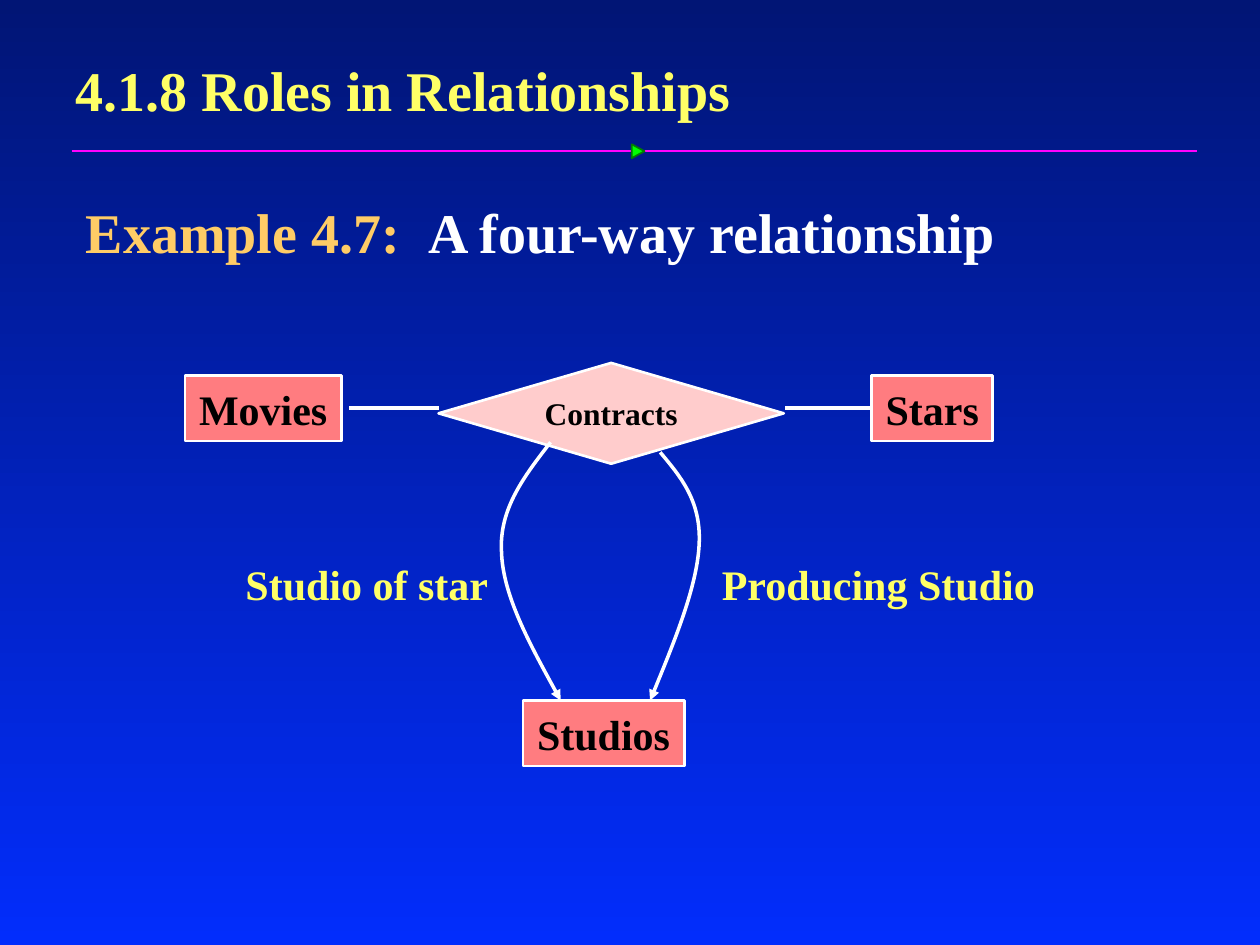
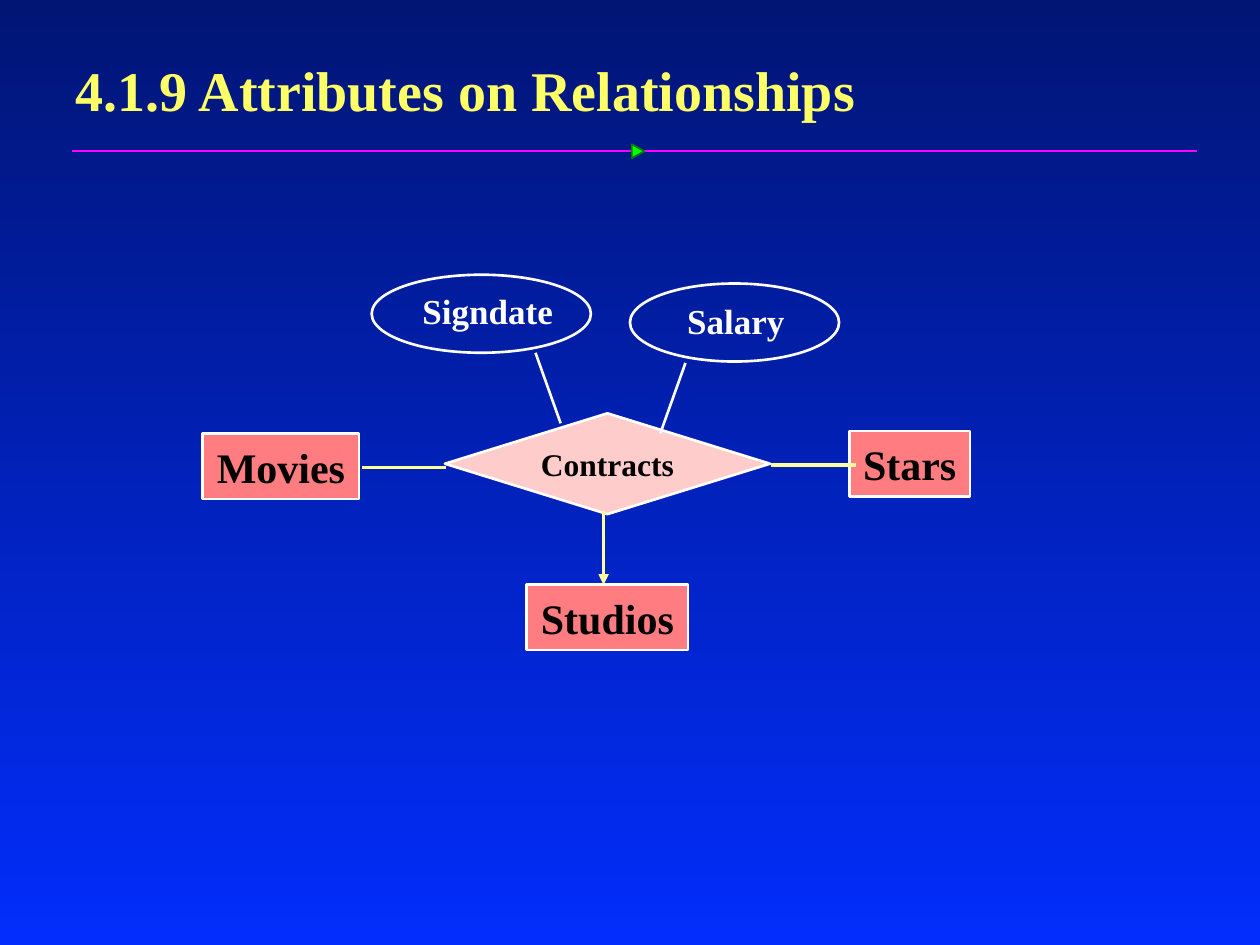
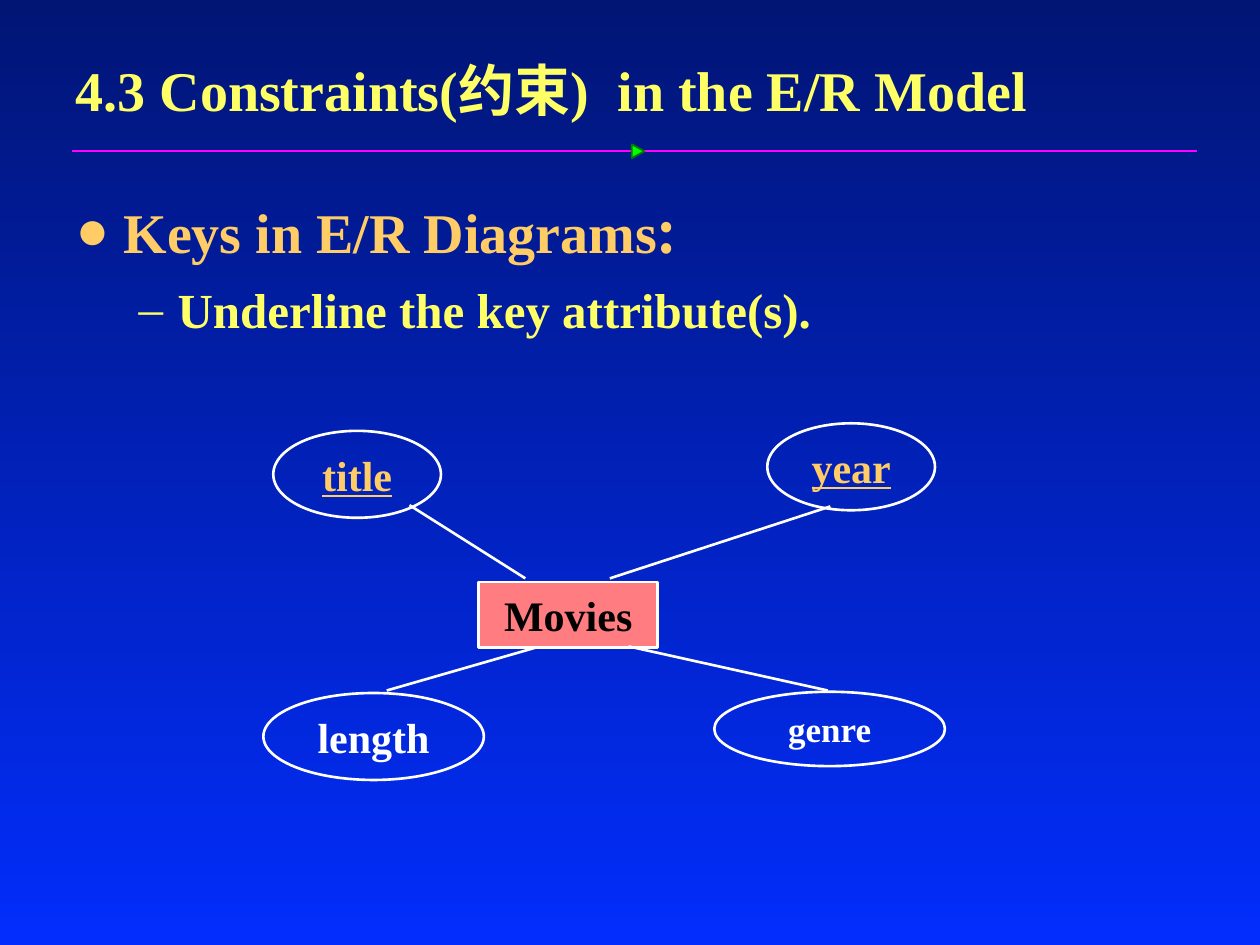
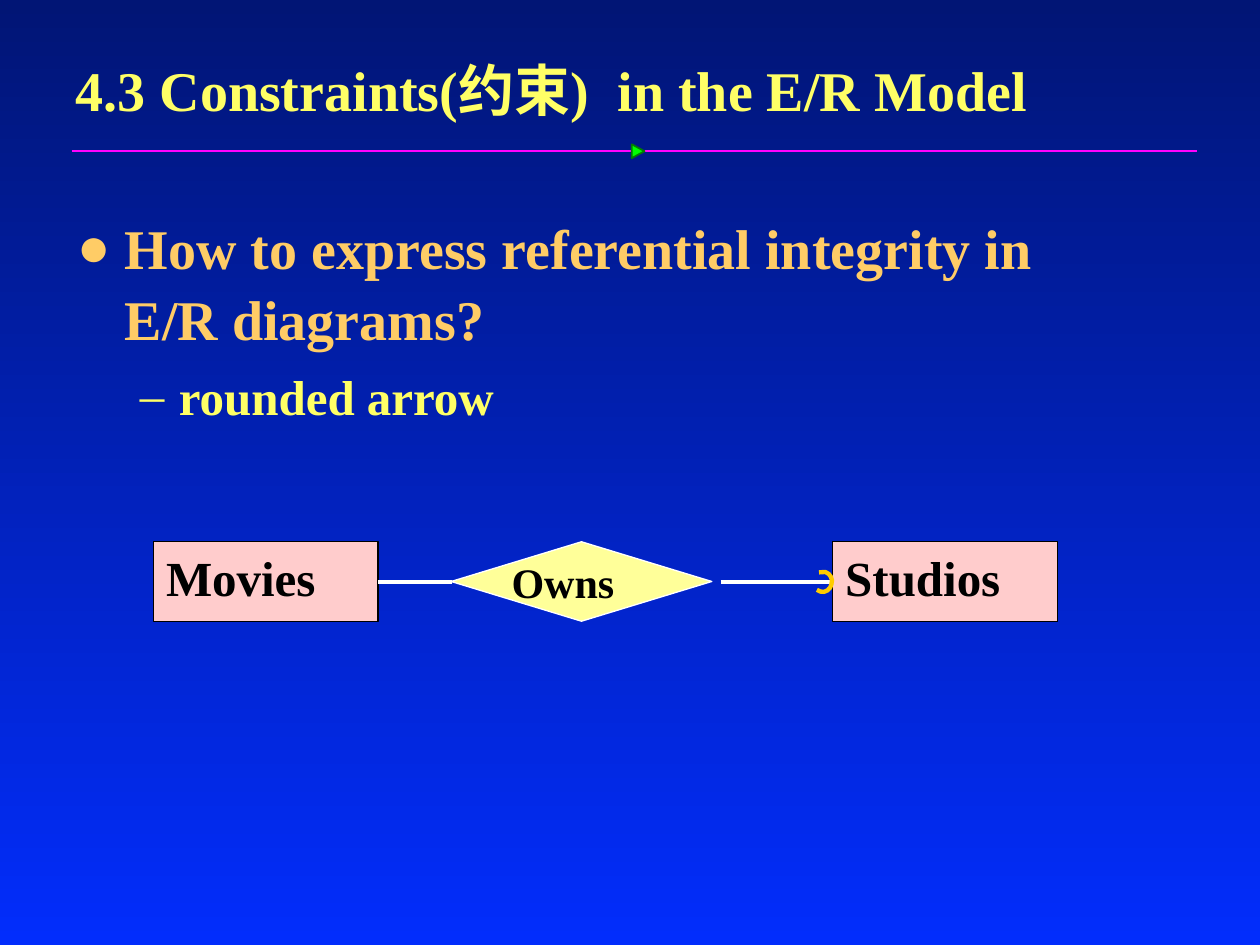
from dataclasses import dataclass

from lxml import etree
from pptx import Presentation
from pptx.dml.color import RGBColor
from pptx.enum import shapes, text
from pptx.oxml import ns
from pptx.util import Pt


@dataclass(frozen=True)
class Theme:
    font: str = "Times New Roman"
    cjk_font: str = "Noto Sans CJK SC"
    sky_top: str = "011575"
    sky_bottom: str = "022DFC"
    yellow: str = "FFFF66"
    pale_yellow: str = "FFFF99"
    orange: str = "FFCC66"
    gold: str = "FFCC00"
    white: str = "FFFFFF"
    black: str = "000000"
    salmon: str = "FF7C80"
    pink: str = "FFCCCC"
    magenta: str = "FF01FF"
    green: str = "00FF00"
    dark_green: str = "037C03"
    heading: int = 32
    sub: int = 28
    entity: int = 24
    attribute: int = 20
    relation: int = 18


theme = Theme()
rgb = RGBColor.from_string
kinds = shapes.MSO_SHAPE
LEFT, CENTER = text.PP_ALIGN.LEFT, text.PP_ALIGN.CENTER
TOP, MIDDLE = text.MSO_ANCHOR.TOP, text.MSO_ANCHOR.MIDDLE


def add_box(page, kind, frame, label="", size=theme.entity, color=theme.black, fill=None,
            line=theme.white, width=1.5, align=CENTER, anchor=MIDDLE, inset=True):
    """Add a preset shape, or a text box when kind is None."""
    place = [Pt(value) for value in frame]
    if kind is None:
        box = page.shapes.add_textbox(*place)
    else:
        box = page.shapes.add_shape(kind, *place)
        box.shadow.inherit = False
        box.line.color.rgb = rgb(line)
        box.line.width = Pt(width)
        if fill:
            box.fill.solid()
            box.fill.fore_color.rgb = rgb(fill)
        else:
            box.fill.background()
    if label:
        body = box.text_frame
        body.text = label
        body.word_wrap = kind is None or align == LEFT
        body.vertical_anchor = anchor
        if not inset:
            body.margin_left = body.margin_right = body.margin_top = body.margin_bottom = 0
        para = body.paragraphs[0]
        para.alignment = align
        font = para.runs[0].font
        font.name, font.size, font.bold = theme.font, Pt(size), True
        font.color.rgb = rgb(color)
    return box


def add_link(page, points, color=theme.white, width=1.5, arrow=False):
    """Join two points by a line, or run Bezier curves through start + 3n points."""
    places = [(Pt(x), Pt(y)) for x, y in points]
    if len(places) == 2:
        link = page.shapes.add_connector(shapes.MSO_CONNECTOR.STRAIGHT, *places[0], *places[1])
    else:
        builder = page.shapes.build_freeform(*places[0])
        builder.add_line_segments(places[1:], close=False)
        link = builder.convert_to_shape()
        link.fill.background()
        link.shadow.inherit = False
        path = link.element.find(".//" + ns.qn("a:path"))
        steps = path.findall(ns.qn("a:lnTo"))
        for first in range(0, len(steps), 3):
            curve = etree.SubElement(path, ns.qn("a:cubicBezTo"))
            for step in steps[first:first + 3]:
                curve.append(step[0])
                path.remove(step)
    link.line.color.rgb = rgb(color)
    link.line.width = Pt(width)
    properties = link.element.spPr
    if arrow:
        etree.SubElement(properties.find(ns.qn("a:ln")), ns.qn("a:tailEnd"), type="triangle")
    if len(places) == 2:
        etree.SubElement(properties, ns.qn("a:effectLst"))
    return link


# Deck and what every page holds: title, body frame, body paragraphs (level, bullet, runs)
deck = Presentation()
deck.slide_width, deck.slide_height = Pt(720), Pt(540)

sky = deck.slide_master.background.fill
sky.gradient()
sky.gradient_angle = 270
for stop, color, position in zip(sky.gradient_stops, (theme.sky_top, theme.sky_bottom), (0, 1)):
    stop.color.rgb = rgb(color)
    stop.position = position

CONSTRAINTS = "4.3 Constraints(约束)  in the E/R Model"
outline = [
    ("4.1.8 Roles in Relationships", (41.8, 107.3, 630, 77.8), [
        (0, None, [("Example 4.7:  ", theme.orange, theme.font),
                   ("A four-way relationship", theme.white, theme.font)])]),
    ("4.1.9 Attributes on Relationships", None, []),
    (CONSTRAINTS, (36, 107.3, 653.8, 100.8), [
        (0, "●", [("Keys in E/R Diagrams", theme.orange, theme.font),
                  (":", theme.orange, theme.cjk_font)]),
        (1, "–", [("Underline the key attribute(s).", theme.yellow, theme.font)])]),
    (CONSTRAINTS, (36.7, 116.6, 617.8, 147.6), [
        (0, "●", [("How to express referential integrity in E/R diagrams?",
                   theme.orange, theme.font)]),
        (1, "–", [("rounded arrow", theme.yellow, theme.font)])]),
]
levels = [(27.4, -27.4, theme.heading), (58.3, -22.3, theme.sub)]

pages = []
for title, body_frame, paragraphs in outline:
    page = deck.slides.add_slide(deck.slide_layouts[1 if paragraphs else 5])
    pages.append(page)

    # Title
    box = page.shapes.title
    box.left, box.top, box.width, box.height = Pt(36), Pt(23.8), Pt(630), Pt(54)
    box.text_frame.text = title
    box.text_frame.auto_size = text.MSO_AUTO_SIZE.NONE
    box.text_frame.vertical_anchor = MIDDLE
    para = box.text_frame.paragraphs[0]
    para.alignment = LEFT
    font = para.runs[0].font
    font.name, font.size, font.bold = theme.font, Pt(theme.heading), True
    font.color.rgb = rgb(theme.yellow)

    # Rule with its marker
    add_link(page, [(41, 86.4), (684, 86.4)], theme.magenta, 1)
    marker = add_box(page, kinds.ISOSCELES_TRIANGLE, (360.7, 82.8, 7.9, 7.2),
                     fill=theme.green, line=theme.dark_green, width=1)
    marker.rotation = 90

    # Body
    if not paragraphs:
        continue
    box = page.placeholders[1]
    box.left, box.top, box.width, box.height = [Pt(value) for value in body_frame]
    frame = box.text_frame
    frame.auto_size = text.MSO_AUTO_SIZE.NONE
    for number, (level, bullet, runs) in enumerate(paragraphs):
        para = frame.add_paragraph() if number else frame.paragraphs[0]
        margin, indent, size = levels[level]
        para.level = level
        properties = para._p.get_or_add_pPr()
        properties.set("marL", str(Pt(margin)))
        properties.set("indent", str(Pt(indent)))
        if bullet:
            etree.SubElement(properties, ns.qn("a:buFont"), typeface=theme.font)
            etree.SubElement(properties, ns.qn("a:buChar"), char=bullet)
        else:
            etree.SubElement(properties, ns.qn("a:buNone"))
        para.line_spacing = 1.05
        para.space_before = Pt(7 if number else 0)
        for words, color, name in runs:
            span = para.add_run()
            span.text = words
            span.font.name, span.font.size, span.font.bold = name, Pt(size), True
            span.font.color.rgb = rgb(color)

roles, attributes, keys, integrity = pages

# Entities and the Contracts diamond on the first two pages
entity_widths = {"Movies": 89.3, "Stars": 69.1, "Studios": 92.2}
contract_pages = [
    (roles, [(105.8, 214.6), (498.2, 214.6), (298.8, 400.3)], (250.6, 207.4, 197.3, 57.6)),
    (attributes, [(115.9, 247.7), (485.3, 246.2), (301, 334.1)], (254.2, 236.2, 185.8, 57.6)),
]
for page, corners, diamond in contract_pages:
    for (name, width), (left, top) in zip(entity_widths.items(), corners):
        add_box(page, kinds.RECTANGLE, (left, top, width, 37.4), name, fill=theme.salmon)
    add_box(page, kinds.DIAMOND, diamond, "Contracts", theme.relation, fill=theme.pink)

# Roles: plain links, labels and two curved arrows
for start, end in [(250.6, 199.4), (499, 448.6)]:
    add_link(roles, [(start, 233.3), (end, 233.3)], width=2)
for label, left, width in [("Studio of star", 133.2, 175), ("Producing Studio", 405.4, 199.4)]:
    add_box(roles, None, (left, 315.4, width, 36), label, color=theme.yellow,
            align=LEFT, anchor=TOP)
studio_of_star = [(314.6, 252.7), (299.5, 272.2), (285.1, 290.9), (286.6, 315.4),
                  (287.3, 339.8), (303.8, 370.1), (320.4, 400.3)]
producing_studio = [(377.3, 258.5), (388.8, 272.2), (400.3, 285.8), (399.6, 309.6),
                    (398.9, 333.4), (385.2, 367.2), (371.5, 400.3)]
for curve in (studio_of_star, producing_studio):
    add_link(roles, curve, width=2, arrow=True)

# Attributes: links to the entities, then the two attribute ovals
for points, arrow in [([(254.9, 267.1), (206.6, 267.1)], False),
                      ([(488.9, 265.7), (440.6, 265.7)], False),
                      ([(344.9, 292.3), (344.9, 334.1)], True)]:
    add_link(attributes, points, theme.pale_yellow, 2, arrow)
for label, oval, label_frame, points in [
    ("Signdate", (212.4, 157, 125.3, 44.6), (239.8, 165.6, 77.8, 33.8),
     [(320.4, 241.9), (306, 201.6)]),
    ("Salary", (360, 162, 119.5, 44.6), (380.9, 171.4, 79.2, 33.8),
     [(391.7, 207.4), (377.3, 247.7)]),
]:
    add_box(attributes, kinds.OVAL, oval)
    add_box(attributes, None, label_frame, label, theme.attribute, theme.white,
            anchor=TOP, inset=False)
    add_link(attributes, points)

# Keys: Movies with four attributes, key attributes underlined
add_box(keys, kinds.RECTANGLE, (273.6, 332.6, 102.2, 37.4), "Movies", fill=theme.salmon)
for label, oval, size, is_key, points in [
    ("title", (156.2, 246.2, 95.8, 49.7), theme.entity, True, [(234, 288.7), (300.2, 330.5)]),
    ("year", (438.5, 241.9, 95.8, 49.7), theme.entity, True, [(474.5, 289.4), (348.5, 330.5)]),
    ("length", (150.5, 396, 126, 49.7), theme.entity, False, [(221, 394.6), (306, 370.1)]),
    ("genre", (408.2, 395.3, 131.8, 42.5), theme.attribute, False,
     [(359.3, 369.4), (473, 394.6)]),
]:
    box = add_box(keys, kinds.OVAL, oval, label, size, theme.orange if is_key else theme.white)
    if is_key:
        box.text_frame.paragraphs[0].runs[0].font.underline = True
    add_link(keys, points)

# Referential integrity: Movies, Owns, Studios and the rounded arrow
for name, left in [("Movies", 87.8), ("Studios", 475.9)]:
    add_box(integrity, kinds.RECTANGLE, (left, 309.6, 128.2, 45.4), name, theme.sub,
            fill=theme.pink, line=theme.black, width=0.75, align=LEFT, anchor=TOP)
add_box(integrity, kinds.DIAMOND, (257.8, 309.6, 149, 45.4), fill=theme.pale_yellow, width=0.75)
add_box(integrity, None, (292.3, 313.9, 85.7, 37.4), "Owns", align=LEFT, inset=False)
for start, end in [(258.5, 216), (411.8, 475.9)]:
    add_link(integrity, [(start, 332.6), (end, 332.6)], width=2.5)
rounded_head = [(467.3, 327.6), (468.7, 326.9), (469.4, 326.9), (470.9, 326.9),
                (473.8, 327.6), (475.9, 330.5), (475.2, 333.4),
                (475.2, 336.2), (472.3, 339.1), (469.4, 338.4),
                (468.7, 338.4), (468, 338.4), (467.3, 337.7)]
add_link(integrity, rounded_head, theme.gold, 2.5).rotation = 7

deck.save("out.pptx")
